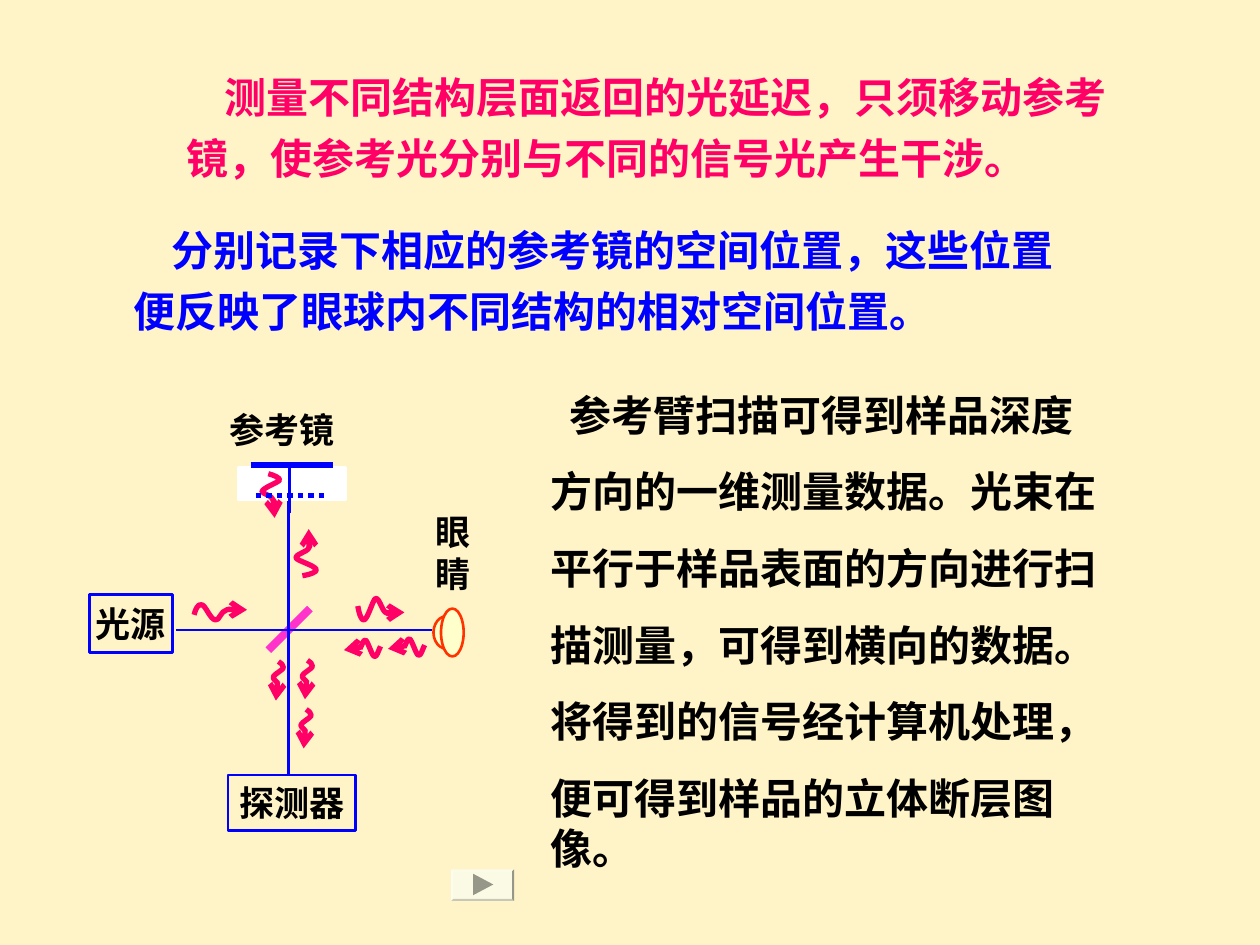
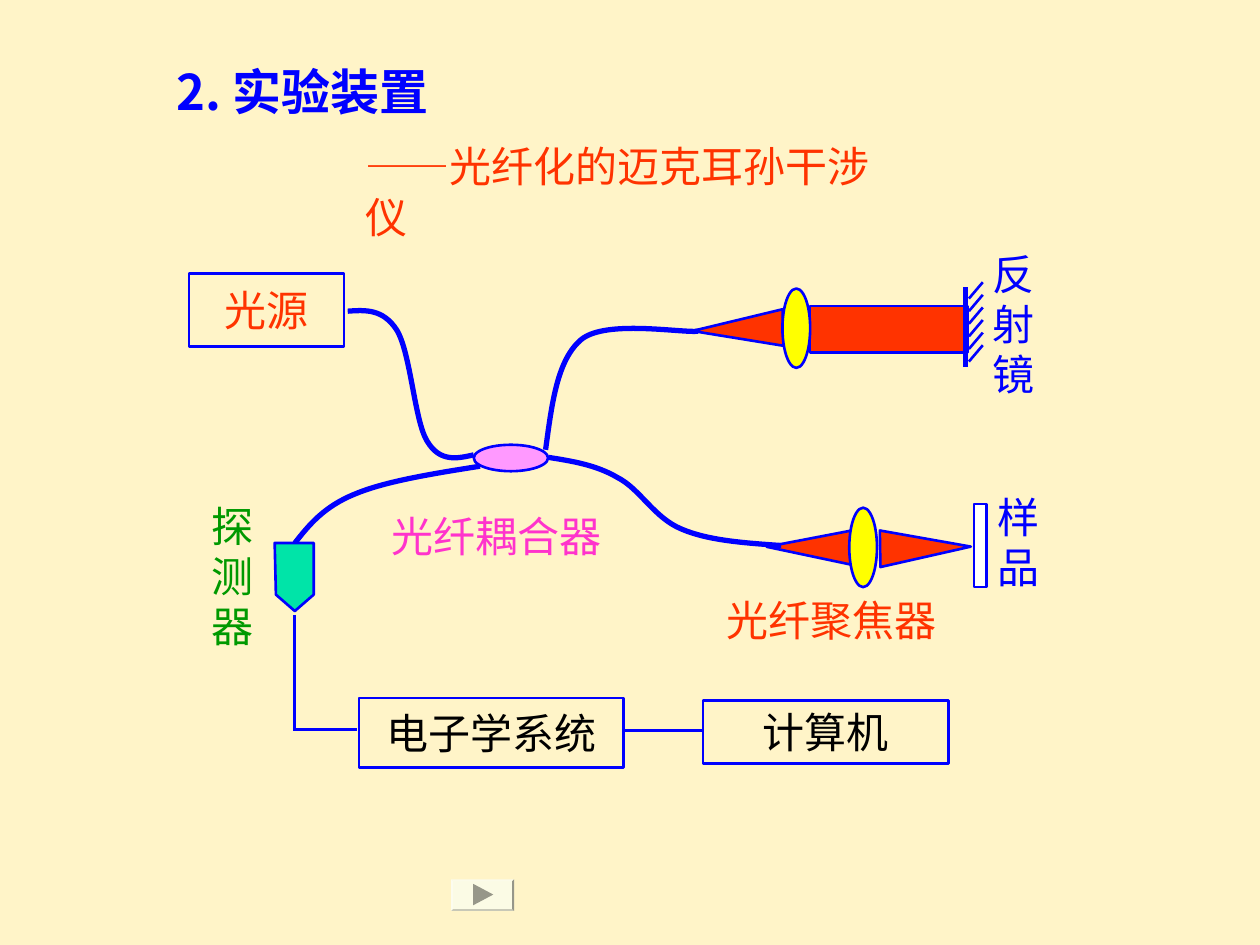
from lxml import etree
from pptx import Presentation
from pptx import util as u
from pptx.dml.color import RGBColor
from pptx.enum import dml, shapes, text
from pptx.oxml.ns import qn

# Shared style
CREAM, BLUE, ROSE, RED, PINK = "FFF4C8", "0000FF", "FF0066", "FF3300", "FF33CC"
BLACK, WHITE, YELLOW, GREEN = "000000", "FFFFFF", "FFFF00", "009900"
SANS, SERIF = "Noto Sans CJK SC", "Times New Roman"
THIN, THICK = 1.5, 3
KIND = shapes.MSO_SHAPE

# Slide 1: paragraphs as (place, lines, format)
NOTES = [
    ((1.38, 0.52, 8.02, 0.99),
     ["测量不同结构层面返回的光延迟，只须移动参考", "镜，使参考光分别与不同的信号光产生干涉。"],
     dict(color=ROSE, before=6, indent=0.3, align="JUSTIFY")),
    ((4.27, 3.04, 4.81, 3.54),
     ["参考臂扫描可得到样品深度", "方向的一维测量数据。光束在", "平行于样品表面的方向进行扫",
      "描测量，可得到横向的数据。", "将得到的信号经计算机处理，", "便可得到样品的立体断层图像。"],
     dict(before=15, indent=0.15)),
    ((0.96, 1.73, 7.96, 1.39),
     ["分别记录下相应的参考镜的空间位置，这些位置", "便反映了眼球内不同结构的相对空间位置。"],
     dict(color=BLUE, before=6, indent=0.3)),
    ((1.72, 3.19, 1.44, 0.44), ["参考镜"], dict(size=20)),
    ((3.36, 4, 0.47, 0.77), ["眼睛"], dict(size=20)),
]
INTERFEROMETER_BOXES = [("光源", (0.71, 4.72, 0.66, 0.46)), ("探测器", (1.81, 6.15, 1.01, 0.44))]
EYE = [(3.44, 4.89, 0.21, 0.26), (3.5, 4.83, 0.18, 0.38)]
BEAMS = [((1.4, 5), (3.43, 5)), ((2.29, 3.94), (2.29, 6.14))]

# Light waves: (start points, curve points relative to the start)
WAVES = [
    ([(2.84, 4.81)],
     [(0.01, 0.06), (0.03, 0.12), (0.05, 0.11), (0.08, 0.1), (0.12, -0.05), (0.14, -0.06),
      (0.17, -0.07), (0.19, 0.03), (0.22, 0.05), (0.26, 0.07), (0.35, 0.05), (0.37, 0.05)]),
    ([(2.4, 4.57)],
     [(0.06, -0.01), (0.12, -0.03), (0.11, -0.05), (0.1, -0.08), (-0.04, -0.12), (-0.05, -0.14),
      (-0.06, -0.17), (0.04, -0.19), (0.05, -0.22), (0.07, -0.26), (0.05, -0.35), (0.05, -0.37)]),
    ([(1.54, 4.88)],
     [(0.01, -0.04), (0.03, -0.09), (0.06, -0.08), (0.09, -0.08), (0.13, 0.04), (0.17, 0.04),
      (0.2, 0.05), (0.21, -0.03), (0.26, -0.04), (0.3, -0.05), (0.4, -0.04), (0.42, -0.04)]),
    ([(2.21, 5.25), (2.44, 5.24), (2.43, 5.63)],
     [(0.02, 0.01), (0.04, 0.03), (0.04, 0.05), (0.03, 0.07), (-0.03, 0.1), (-0.04, 0.12),
      (-0.05, 0.14), (0, 0.16), (0, 0.19), (0.01, 0.22), (-0.02, 0.29), (-0.02, 0.31)]),
    ([(2.13, 3.76)],
     [(0.04, 0.01), (0.09, 0.03), (0.09, 0.05), (0.08, 0.07), (-0.04, 0.11), (-0.05, 0.14),
      (-0.05, 0.16), (0.03, 0.17), (0.04, 0.21), (0.06, 0.24), (0.05, 0.32), (0.05, 0.35)]),
    ([(3.02, 5.13), (3.37, 5.12)],
     [(-0.02, 0.04), (-0.03, 0.09), (-0.05, 0.08), (-0.07, 0.07), (-0.1, -0.04), (-0.12, -0.05),
      (-0.14, -0.05), (-0.15, 0.02), (-0.18, 0.03), (-0.21, 0.05), (-0.27, 0.03), (-0.29, 0.03)]),
]

# Slide 2
DEVICE_BOXES = [
    ("光源", (1.5, 2.17, 1.23, 0.58), RED),
    ("电子学系统", (2.85, 5.54, 2.1, 0.55), BLACK),
    ("计算机", (5.58, 5.56, 1.95, 0.5), BLACK),
]
DEVICE_LABELS = [
    ("探测器", (1.58, 3.92, 0.59, 1.3), GREEN),
    ("光纤耦合器", (3.01, 4, 2.16, 0.5), PINK),
    ("样品", (7.82, 3.85, 0.68, 0.9), BLUE),
    ("光纤聚焦器", (5.67, 4.67, 2.27, 0.5), RED),
    ("反射镜", (7.78, 1.92, 0.6, 1.3), BLUE),
]
LIGHT_CONES = [((5.71, 2.25), 268.3), ((6.3, 3.98), 271), ((7.2, 3.99), 89.1)]
OPTICS = [
    (KIND.RECTANGLE, (6.43, 2.43, 1.25, 0.37), RED),
    (KIND.OVAL, (6.74, 4.03, 0.22, 0.63), YELLOW),
    (KIND.OVAL, (6.21, 2.29, 0.22, 0.63), YELLOW),
    (KIND.RECTANGLE, (7.73, 4, 0.1, 0.66), WHITE),
    (KIND.OVAL, (3.76, 3.53, 0.59, 0.21), "FF99FF"),
]
FIBRES = [
    [(4.33, 3.57), (4.38, 3.21), (4.42, 2.85), (4.62, 2.69), (4.82, 2.54), (5.38, 2.64), (5.54, 2.63)],
    [(2.76, 2.47), (2.9, 2.46), (3.04, 2.45), (3.15, 2.62), (3.26, 2.8), (3.29, 3.34), (3.39, 3.5),
     (3.49, 3.67), (3.63, 3.64), (3.76, 3.61)],
    [(2.34, 4.31), (2.45, 4.17), (2.57, 4.02), (2.82, 3.92), (3.06, 3.82), (3.43, 3.76), (3.81, 3.7)],
    [(4.35, 3.63), (4.54, 3.66), (4.73, 3.69), (4.9, 3.79), (5.08, 3.88), (5.19, 4.11), (5.41, 4.2),
     (5.62, 4.29), (5.91, 4.31), (6.2, 4.33)],
]
DETECTOR = [(2.49, 4.31), (2.49, 4.72), (2.34, 4.85), (2.19, 4.72), (2.18, 4.31)]
WIRES = [((2.34, 4.88), (2.34, 5.8)), ((2.33, 5.79), (2.83, 5.79)), ((4.94, 5.8), (5.58, 5.8))]


def rgb(value):
    return RGBColor.from_string(value)


def inches(values):
    return [u.Inches(value) for value in values]


def write(frame, lines, size=24, color=BLACK, bold=True, font=SANS, align="LEFT",
          before=0, indent=0, anchor="TOP", wrap=True):
    frame.word_wrap = wrap
    frame.auto_size = text.MSO_AUTO_SIZE.NONE
    frame.vertical_anchor = getattr(text.MSO_ANCHOR, anchor)
    for index, line in enumerate(lines):
        para = frame.add_paragraph() if index else frame.paragraphs[0]
        para.alignment = getattr(text.PP_ALIGN, align)
        para.space_before = u.Pt(before if index else 0)
        layout = para._p.get_or_add_pPr()
        layout.set("hangingPunct", "0")
        if indent and not index:
            layout.set("indent", str(u.Inches(indent)))
        span = para.add_run()
        span.text = line
        span.font.size, span.font.bold, span.font.name = u.Pt(size), bold, font
        span.font.color.rgb = rgb(color)
        etree.SubElement(span._r.get_or_add_rPr(), qn("a:ea"), typeface=SANS)


def add_label(page, place, lines, **style):
    write(page.shapes.add_textbox(*inches(place)).text_frame, lines, **style)


def paint(shape, fill=None, line=BLUE, width=THIN):
    shape.shadow.inherit = False
    if fill:
        shape.fill.solid()
        shape.fill.fore_color.rgb = rgb(fill)
    else:
        shape.fill.background()
    if line:
        shape.line.color.rgb = rgb(line)
        shape.line.width = u.Pt(width)
    else:
        shape.line.fill.background()
    return shape


def add_shape(page, kind, place, fill=None, line=BLUE):
    return paint(page.shapes.add_shape(kind, *inches(place)), fill, line)


def add_box(page, place, label, **style):
    box = add_shape(page, KIND.RECTANGLE, place)
    write(box.text_frame, [label], align="CENTER", anchor="MIDDLE", wrap=False, **style)


def add_line(page, start, end, color=BLUE, width=THIN):
    line = page.shapes.add_connector(shapes.MSO_CONNECTOR.STRAIGHT, *inches(start + end))
    line.line.color.rgb = rgb(color)
    line.line.width = u.Pt(width)
    etree.SubElement(line._element.spPr, qn("a:effectLst"))
    return line


def add_outline(page, points, closed=True, **style):
    corners = [tuple(inches(point)) for point in points]
    builder = page.shapes.build_freeform(*corners[0], scale=1.0)
    builder.add_line_segments(corners[1:], close=closed)
    return paint(builder.convert_to_shape(), **style)


def add_curve(page, points, color=BLUE):
    """Draw a chain of cubic curves: every three points after the first make one."""
    shape = add_outline(page, points, closed=False, line=color, width=THICK)
    segments = list(shape._element.iter(qn("a:lnTo")))
    for first in range(0, len(segments), 3):
        bend = etree.Element(qn("a:cubicBezTo"))
        segments[first].addprevious(bend)
        for segment in segments[first:first + 3]:
            bend.append(segment[0])
            segment.getparent().remove(segment)
    return shape


def add_wave(page, start, offsets):
    points = [start] + [(start[0] + x, start[1] + y) for x, y in offsets]
    wave = add_curve(page, points, ROSE)
    etree.SubElement(wave.line._get_or_add_ln(), qn("a:tailEnd"), type="arrow")


def add_next_button(page, top):
    button = add_shape(page, KIND.BEVEL, (3.58, top, 0.5, 0.25), "FBFBE5", None)
    button.adjustments[0] = 0.06
    arrow = add_shape(page, KIND.ISOSCELES_TRIANGLE, (3.75, top + 0.04, 0.17, 0.16), "979789", None)
    arrow.rotation = 90


def build_principle(deck):
    page = deck.slides.add_slide(deck.slide_layouts[6])
    for place, lines, style in NOTES:
        add_label(page, place, lines, **style)
    for label, place in INTERFEROMETER_BOXES:
        add_box(page, place, label, size=20)
    # Beam splitter, eye and beams
    add_line(page, (2.46, 4.83), (2.13, 5.16), PINK, 4.5)
    for place in EYE:
        add_shape(page, KIND.OVAL, place, "FFFFCC", RED)
    for start, end in BEAMS:
        add_line(page, start, end)
    # Moving reference mirror
    add_shape(page, KIND.RECTANGLE, (1.89, 3.71, 0.85, 0.26), WHITE, WHITE)
    add_line(page, (1.99, 3.69), (2.64, 3.69), width=THICK)
    add_line(page, (2.3, 3.71), (2.3, 4.07))
    for starts, offsets in WAVES:
        for start in starts:
            add_wave(page, start, offsets)
    moved = add_line(page, (2.03, 3.93), (2.6, 3.93), width=THICK)
    moved.line.dash_style = dml.MSO_LINE.ROUND_DOT
    add_next_button(page, 6.9)


def build_setup(deck):
    page = deck.slides.add_slide(deck.slide_layouts[5])
    title = page.shapes.title
    title.left, title.top, title.width, title.height = inches((1.3, 0.44, 3.15, 0.57))
    write(title.text_frame, ["2. 实验装置"], size=28, color=BLUE)
    add_label(page, (2.8, 1.07, 4.27, 0.5), ["——光纤化的迈克耳孙干涉仪"],
              color=RED, bold=False, font=SERIF)
    for label, place, color in DEVICE_BOXES:
        add_box(page, place, label, color=color, bold=False)
    # Light cones, lenses, sample and coupler
    for (left, top), angle in LIGHT_CONES:
        cone = add_shape(page, KIND.ISOSCELES_TRIANGLE, (left, top, 0.29, 0.72), RED)
        cone.adjustments[0] = 0.48
        cone.rotation = angle
    for kind, place, fill in OPTICS:
        add_shape(page, kind, place, fill)
    # Hatched mirror
    add_line(page, (7.66, 2.28), (7.66, 2.91), width=THICK)
    for row in range(6):
        y = 2.37 + 0.1 * row
        add_line(page, (7.69, y), (7.8, y - 0.13))
    # Fibres, detector and wires
    for points in FIBRES:
        add_curve(page, points)
    add_outline(page, DETECTOR, fill="00E4A8")
    for start, end in WIRES:
        add_line(page, start, end)
    for label, place, color in DEVICE_LABELS:
        add_label(page, place, [label], color=color, bold=False)
    add_next_button(page, 6.98)


def main():
    deck = Presentation()
    deck.slide_width, deck.slide_height = inches((10, 7.5))
    backdrop = deck.slide_master.background.fill
    backdrop.solid()
    backdrop.fore_color.rgb = rgb(CREAM)
    build_principle(deck)
    build_setup(deck)
    deck.save("out.pptx")


if __name__ == "__main__":
    main()
